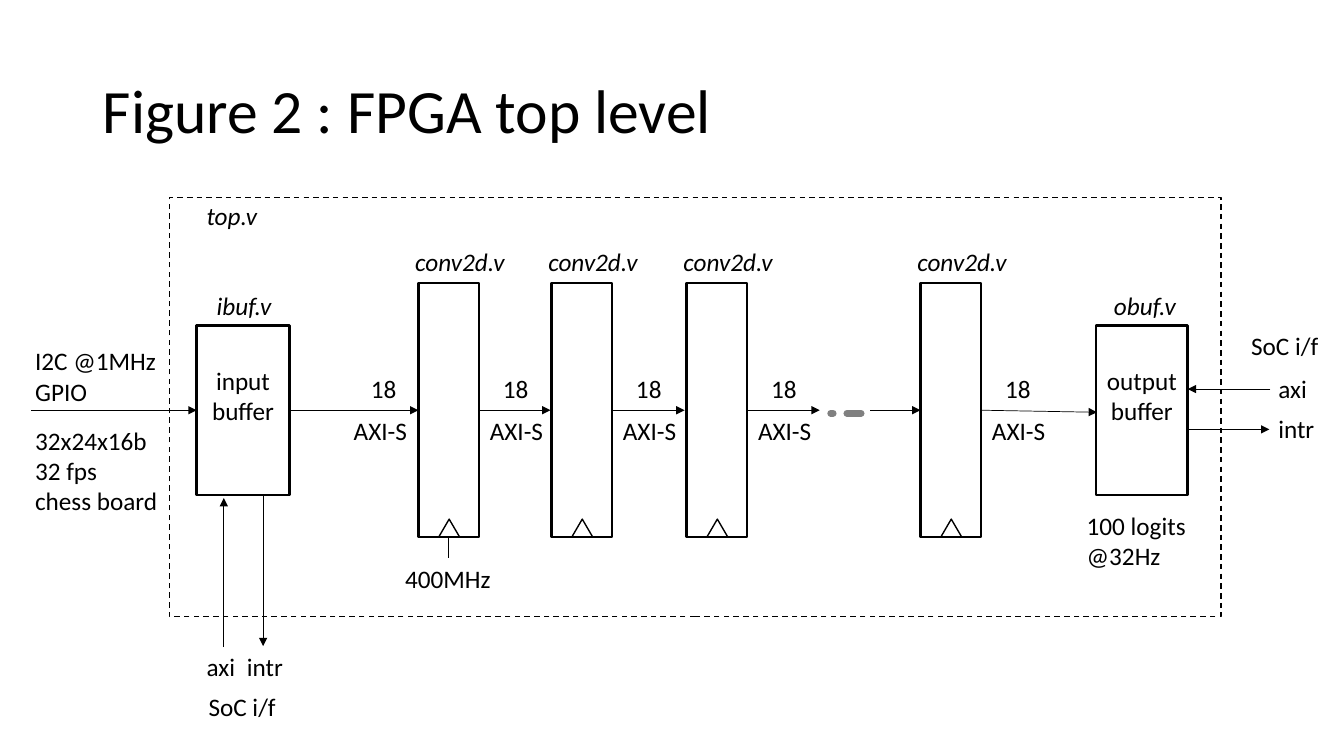
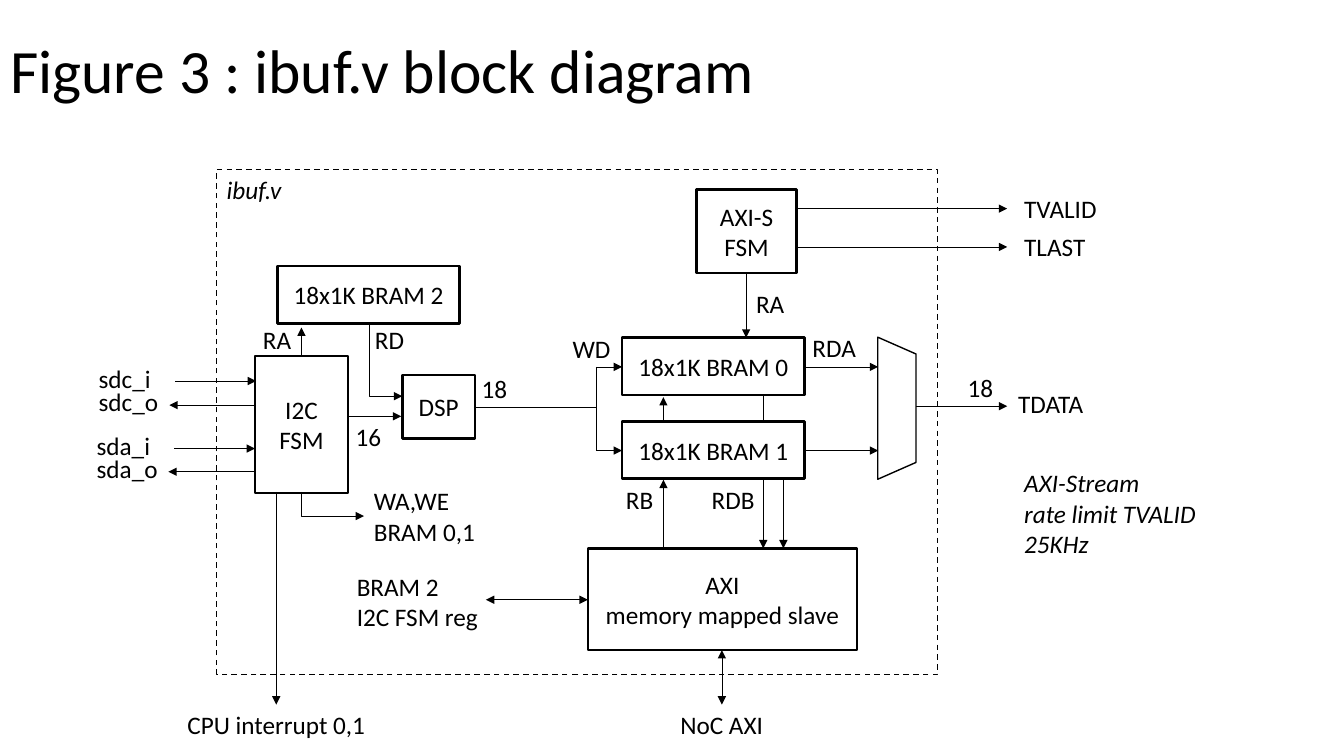
"""Draw two FPGA block diagrams: the top level and its input buffer."""

from dataclasses import dataclass

from lxml import etree
from pptx import Presentation
from pptx.dml.color import RGBColor
from pptx.enum.dml import MSO_LINE
from pptx.enum.shapes import MSO_CONNECTOR, MSO_SHAPE
from pptx.enum.text import MSO_ANCHOR, MSO_AUTO_SIZE, PP_ALIGN
from pptx.oxml.ns import qn
from pptx.slide import Slide
from pptx.util import Pt

STRAIGHT, ELBOW = MSO_CONNECTOR.STRAIGHT, MSO_CONNECTOR.ELBOW
RECTANGLE, TRIANGLE = MSO_SHAPE.RECTANGLE, MSO_SHAPE.ISOSCELES_TRIANGLE
TRAPEZOID = MSO_SHAPE.TRAPEZOID
DASH, ROUND_DOT = MSO_LINE.DASH, MSO_LINE.SQUARE_DOT
LEFT, CENTER = PP_ALIGN.LEFT, PP_ALIGN.CENTER
MIDDLE = MSO_ANCHOR.MIDDLE
NO_FIT, FIT_SHAPE = MSO_AUTO_SIZE.NONE, MSO_AUTO_SIZE.SHAPE_TO_FIT_TEXT
EMU_PER_PX = 9144
TITLE_ONLY = 5


@dataclass(frozen=True)
class Theme:
    font: str = "Calibri"
    ink: RGBColor = RGBColor(0, 0, 0)
    paper: RGBColor = RGBColor(255, 255, 255)
    grey: RGBColor = RGBColor(128, 128, 128)
    title_size: int = 44
    body_size: int = 18
    block_line: float = 1.75
    thin_line: float = 1
    wire_line: float = 0.5
    dots_line: float = 5


@dataclass(frozen=True)
class Block:
    left: int
    top: int
    width: int
    height: int
    text: str = ""
    lift: int = 0
    filled: bool = False


@dataclass(frozen=True)
class Label:
    left: int
    top: int
    width: int
    text: str
    italic: bool = False


@dataclass(frozen=True)
class Wire:
    x1: int
    y1: int
    x2: int
    y2: int
    tail: bool = True
    head: bool = False


THEME = Theme()
LINE_HEIGHT = 30
LABEL_PADDING = 10
BUS_Y = 407
STAGE_WIDTH, STAGE_HEIGHT, STAGE_TOP = 60, 252, 281
STAGES = (
    (415, Wire(476, BUS_Y, 546, BUS_Y)),
    (547, Wire(608, BUS_Y, 679, BUS_Y)),
    (681, Wire(742, BUS_Y, 813, BUS_Y)),
    (913, Wire(974, BUS_Y, 1088, 409)),
)

TOP_BLOCKS = (
    Block(195, 323, 92, 168, "input buffer", LINE_HEIGHT),
    Block(1087, 323, 91, 168, "output buffer", LINE_HEIGHT),
)
TOP_WIRES = (
    Wire(31, BUS_Y, 195, BUS_Y),
    Wire(287, BUS_Y, 415, BUS_Y),
    Wire(445, 532, 445, 554, tail=False),
    Wire(863, BUS_Y, 913, BUS_Y),
    Wire(1178, 426, 1259, 426),
    Wire(1260, 386, 1178, 386),
    Wire(222, 642, 222, 494),
    Wire(261, 492, 261, 641),
)
TOP_LABELS = (
    Label(25, 338, 141, "I2C @1MHz\nGPIO"),
    Label(25, 417, 143, "32x24x16b\n32 fps\nchess board"),
    Label(341, 407, 73, "AXI-S"),
    Label(358, 365, 46, "18"),
    Label(392, 554, 106, "400MHz"),
    Label(1068, 501, 119, "100 logits\n@32Hz"),
    Label(1231, 323, 88, "SoC i/f"),
    Label(1258, 365, 49, "axi"),
    Label(1258, 405, 56, "intr"),
    Label(195, 641, 49, "axi"),
    Label(235, 641, 56, "intr"),
    Label(197, 681, 88, "SoC i/f"),
    Label(195, 194, 71, "top.v", True),
    Label(205, 283, 75, "ibuf.v", True),
    Label(1095, 283, 82, "obuf.v", True),
)

BUFFER_BLOCKS = (
    Block(253, 353, 92, 136, "I2C\nFSM"),
    Block(399, 372, 72, 63, "DSP"),
    Block(275, 264, 181, 57, "18x1K BRAM 2"),
    Block(617, 335, 181, 57, "18x1K BRAM 0"),
    Block(617, 418, 181, 57, "18x1K BRAM 1", filled=True),
    Block(691, 188, 99, 83, "AXI-S\nFSM"),
    Block(583, 544, 267, 101, "AXI\nmemory mapped slave"),
)
BUFFER_WIRES = (
    Wire(174, 378, 254, 378),
    Wire(254, 402, 168, 402),
    Wire(173, 445, 253, 445),
    Wire(253, 468, 167, 468),
    Wire(299, 353, 299, 325),
    Wire(345, 413, 398, 413),
    Wire(274, 488, 274, 699),
    Wire(470, 404, 591, 404, tail=False),
    Wire(591, 364, 591, 447, tail=False),
    Wire(591, 364, 617, 364),
    Wire(591, 447, 617, 447),
    Wire(798, 364, 871, 364),
    Wire(798, 447, 871, 447),
    Wire(909, 403, 999, 403),
    Wire(790, 207, 999, 207),
    Wire(790, 245, 999, 245),
    Wire(740, 272, 740, 335),
    Wire(658, 418, 658, 394),
    Wire(658, 544, 658, 476),
    Wire(757, 392, 757, 544),
    Wire(777, 476, 777, 544),
    Wire(716, 645, 716, 699, head=True),
    Wire(583, 595, 482, 595, head=True),
)
BUFFER_ELBOWS = (Wire(366, 321, 399, 393), Wire(299, 488, 361, 512))
BUFFER_LABELS = (
    Label(88, 356, 72, "sdc_i"),
    Label(88, 378, 80, "sdc_o"),
    Label(86, 422, 74, "sda_i"),
    Label(86, 445, 81, "sda_o"),
    Label(251, 317, 48, "RA"),
    Label(362, 317, 49, "RD"),
    Label(343, 413, 46, "16"),
    Label(468, 365, 46, "18"),
    Label(558, 326, 58, "WD"),
    Label(796, 325, 64, "RDA"),
    Label(740, 281, 48, "RA"),
    Label(611, 476, 48, "RB"),
    Label(696, 476, 63, "RDB"),
    Label(950, 364, 46, "18"),
    Label(1006, 187, 93, "TVALID"),
    Label(1006, 225, 81, "TLAST"),
    Label(1000, 380, 85, "TDATA"),
    Label(361, 477, 121, "WA,WE\nBRAM 0,1"),
    Label(344, 562, 142, "BRAM 2\nI2C FSM reg"),
    Label(176, 699, 198, "CPU interrupt 0,1"),
    Label(665, 699, 103, "NoC AXI"),
    Label(215, 168, 75, "ibuf.v", True),
    Label(1006, 459, 192, "AXI-Stream\nrate limit TVALID\n25KHz", True),
)


def px(length: float) -> int:
    """Turn a length in px into EMU."""
    return round(length * EMU_PER_PX)


def write(text_frame, text: str, size: int, alignment, italic: bool = False) -> None:
    """Fill a text frame and format each run."""
    text_frame.text = text
    for paragraph in text_frame.paragraphs:
        paragraph.alignment = alignment
        for run in paragraph.runs:
            run.font.name = THEME.font
            run.font.size = Pt(size)
            run.font.italic = italic
            run.font.color.rgb = THEME.ink


def add_title(slide: Slide, text: str, left: int, top: int) -> None:
    """Place and format the slide title."""
    title = slide.shapes.title
    title.left, title.top = px(left), px(top)
    title.width, title.height = px(1150), px(145)
    text_frame = title.text_frame
    text_frame.word_wrap = True
    text_frame.auto_size = NO_FIT
    text_frame.vertical_anchor = MIDDLE
    write(text_frame, text, THEME.title_size, LEFT)
    text_frame.paragraphs[0].line_spacing = 0.9


def add_outline(slide: Slide, kind, block: Block, line_width: float):
    """Draw a preset shape with a black outline."""
    shape = slide.shapes.add_shape(
        kind, px(block.left), px(block.top), px(block.width), px(block.height)
    )
    shape.shadow.inherit = False
    if block.filled:
        shape.fill.solid()
        shape.fill.fore_color.rgb = THEME.paper
    else:
        shape.fill.background()
    shape.line.color.rgb = THEME.ink
    shape.line.width = Pt(line_width)
    return shape


def add_block(slide: Slide, block: Block) -> None:
    """Draw a block with centred text."""
    shape = add_outline(slide, RECTANGLE, block, THEME.block_line)
    if block.text:
        text_frame = shape.text_frame
        text_frame.word_wrap = True
        text_frame.vertical_anchor = MIDDLE
        text_frame.margin_bottom = px(5 + block.lift)
        write(text_frame, block.text, THEME.body_size, CENTER)


def add_frame(slide: Slide, frame: Block) -> None:
    """Draw the dashed module boundary."""
    add_outline(slide, RECTANGLE, frame, THEME.thin_line).line.dash_style = DASH


def add_label(slide: Slide, label: Label) -> None:
    """Add an unwrapped text label."""
    height = LABEL_PADDING + LINE_HEIGHT * len(label.text.split("\n"))
    box = slide.shapes.add_textbox(
        px(label.left), px(label.top), px(label.width), px(height)
    )
    box.text_frame.word_wrap = False
    box.text_frame.auto_size = FIT_SHAPE
    write(box.text_frame, label.text, THEME.body_size, LEFT, label.italic)


def add_wire(slide: Slide, wire: Wire, kind=STRAIGHT):
    """Draw a thin connector with its arrowheads."""
    connector = slide.shapes.add_connector(
        kind, px(wire.x1), px(wire.y1), px(wire.x2), px(wire.y2)
    )
    connector.line.color.rgb = THEME.ink
    connector.line.width = Pt(THEME.wire_line)
    properties = connector.element.spPr
    outline = properties.find(qn("a:ln"))
    for tag, shown in (("a:headEnd", wire.head), ("a:tailEnd", wire.tail)):
        if shown:
            etree.SubElement(outline, qn(tag)).set("type", "triangle")
    etree.SubElement(properties, qn("a:effectLst"))
    return connector


def add_elbow(slide: Slide, wire: Wire) -> None:
    """Draw a connector that runs down and then right."""
    connector = add_wire(slide, wire, ELBOW)
    across, down = wire.x2 - wire.x1, wire.y2 - wire.y1
    connector.left = px((wire.x1 + wire.x2 - down) / 2)
    connector.top = px((wire.y1 + wire.y2 - across) / 2)
    connector.width, connector.height = px(down), px(across)
    properties = connector.element.spPr
    properties.find(qn("a:prstGeom")).set("prst", "bentConnector2")
    transform = properties.find(qn("a:xfrm"))
    transform.set("rot", "16200000")
    transform.set("flipH", "1")


def add_diagram(slide: Slide, wires, blocks, labels, frame: Block) -> None:
    """Draw wires, blocks, labels and the module boundary."""
    for wire in wires:
        add_wire(slide, wire)
    for block in blocks:
        add_block(slide, block)
    for label in labels:
        add_label(slide, label)
    add_frame(slide, frame)


def add_stage(slide: Slide, left: int, output: Wire) -> None:
    """Draw a convolution stage with its clock mark and output bus."""
    add_block(slide, Block(left, STAGE_TOP, STAGE_WIDTH, STAGE_HEIGHT))
    add_outline(slide, TRIANGLE, Block(left + 20, 515, 21, 18), THEME.thin_line)
    add_wire(slide, output)
    add_label(slide, Label(left + 61, BUS_Y, 73, "AXI-S"))
    add_label(slide, Label(left + 74, 365, 46, "18"))
    add_label(slide, Label(left - 13, 239, 110, "conv2d.v", True))


def build_top_level(slide: Slide) -> None:
    """Build the top level diagram."""
    add_title(slide, "Figure 2 : FPGA top level", 92, 40)
    for left, output in STAGES:
        add_stage(slide, left, output)
    dots = add_wire(slide, Wire(854, 410, 824, 410, tail=False))
    dots.line.color.rgb = THEME.grey
    dots.line.width = Pt(THEME.dots_line)
    dots.line.dash_style = ROUND_DOT
    dots.element.spPr.find(qn("a:ln")).set("cap", "rnd")
    add_diagram(slide, TOP_WIRES, TOP_BLOCKS, TOP_LABELS, Block(168, 196, 1043, 416))


def build_input_buffer(slide: Slide) -> None:
    """Build the input buffer diagram."""
    add_title(slide, "Figure 3 : ibuf.v block diagram", 0, 0)
    for elbow in BUFFER_ELBOWS:
        add_elbow(slide, elbow)
    multiplexer = add_outline(
        slide, TRAPEZOID, Block(819, 386, 141, 38), THEME.thin_line
    )
    multiplexer.adjustments[0] = 0.44
    multiplexer.rotation = 90
    add_diagram(
        slide, BUFFER_WIRES, BUFFER_BLOCKS, BUFFER_LABELS, Block(215, 168, 715, 501)
    )


def main() -> None:
    """Build and save the presentation."""
    presentation = Presentation()
    presentation.slide_width, presentation.slide_height = px(1333), px(750)
    layout = presentation.slide_layouts[TITLE_ONLY]
    for build in (build_top_level, build_input_buffer):
        build(presentation.slides.add_slide(layout))
    presentation.save("out.pptx")


if __name__ == "__main__":
    main()
